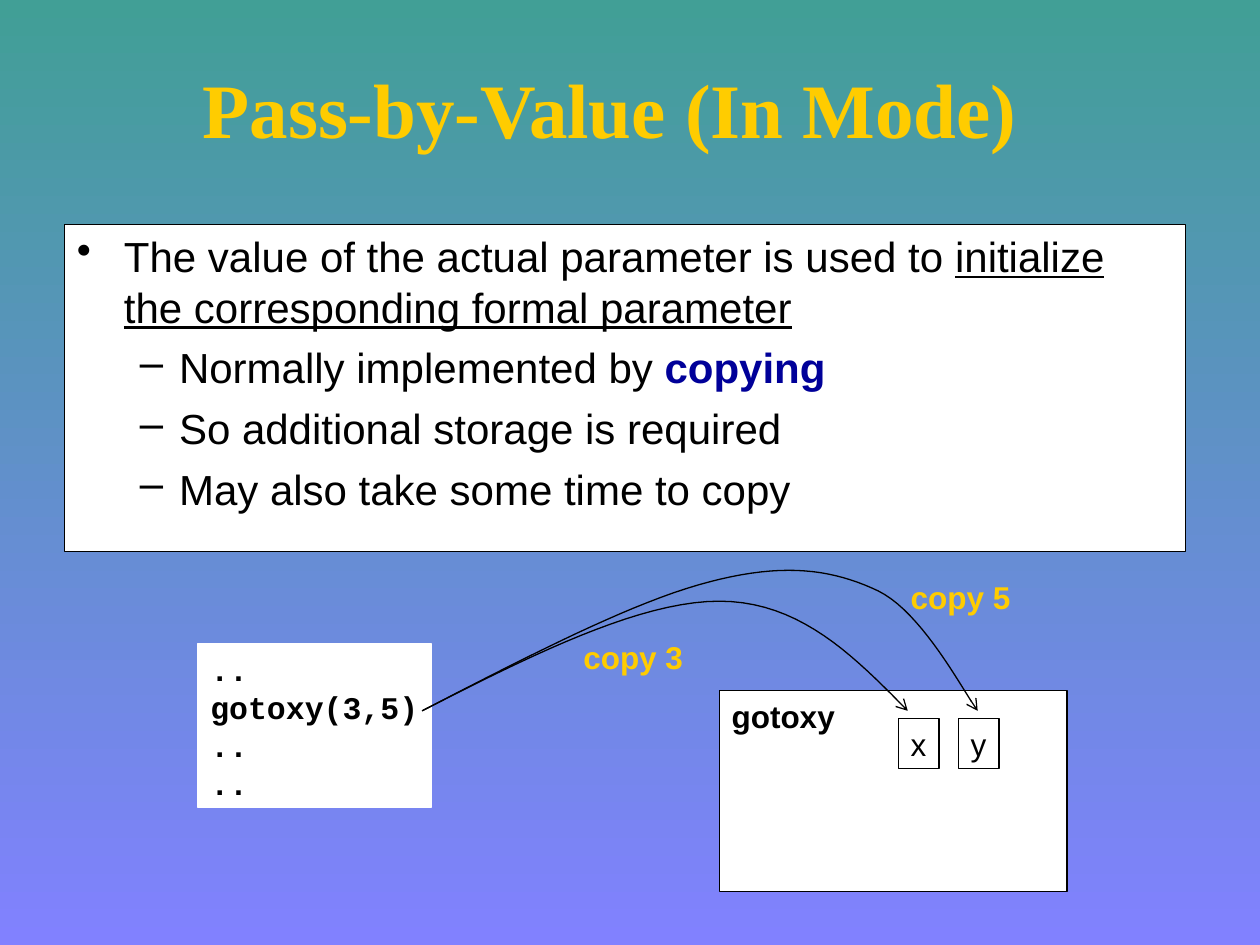
from dataclasses import dataclass
from typing import Optional

import pptx
import pptx.dml.color
import pptx.enum.shapes
import pptx.enum.text
import pptx.oxml.ns
import pptx.util
from lxml import etree
from pptx.util import Cm, Pt

COLORS = {
    "sky_top": "419F96",
    "sky_bottom": "8181FF",
    "gold": "FFCC00",
    "navy": "000099",
    "black": "000000",
    "white": "FFFFFF",
}
CURVE_STEPS = 20

Point = tuple[float, float]


@dataclass
class Box:
    """A text rectangle; lengths in centimetres."""
    left: float
    top: float
    width: float
    height: float
    lines: tuple[str, ...]
    font: str = "Arial"
    bold: bool = True
    color: str = "black"
    fill: Optional[str] = None
    line: Optional[str] = None
    wrap: bool = False


@dataclass
class Span:
    text: str
    bold: bool = False
    underline: bool = False
    color: str = "black"


@dataclass
class Bullet:
    level: int
    spans: tuple[Span, ...]


BULLET_STYLES = {0: ("•", 0.95, -0.95), 1: ("–", 2.06, -0.79)}

BULLETS = (
    Bullet(0, (Span("The value of the actual parameter is used to "),
               Span("initialize the corresponding formal parameter", underline=True))),
    Bullet(1, (Span("Normally implemented by "),
               Span("copying", bold=True, color="navy"))),
    Bullet(1, (Span("So additional storage is required"),)),
    Bullet(1, (Span("May also take some time to copy"),)),
)

FUNCTION_FRAME = Box(14.5, 13.92, 7.01, 4.06, ("gotoxy",),
                     fill="white", line="black", wrap=True)
PARAMETERS = [
    Box(left, 14.48, 0.82, 1.02, (name,), bold=False, line="black")
    for name, left in (("x", 18.11), ("y", 19.32))
]
CALLER = Box(3.99, 12.98, 4.7, 3.3, ("..", "gotoxy(3,5)", "..", ".."),
             font="Courier New", fill="white", line="white")
COPY_LABELS = [
    Box(11.51, 12.73, 2.6, 1.02, ("copy 3",), color="gold"),
    Box(18.11, 11.53, 2.6, 1.02, ("copy 5",), color="gold"),
]

# Each curve is a start followed by three Bézier points per segment.
ARGUMENT: Point = (8.51, 14.33)
COPY_CURVES: list[list[Point]] = [
    [ARGUMENT, (10.67, 13.23), (12.88, 12.12), (14.5, 12.12),
     (16.13, 12.12), (17.22, 13.23), (18.3, 14.33)],
    [ARGUMENT, (10.64, 13.23), (12.78, 12.12), (14.3, 11.73),
     (15.82, 11.33), (16.79, 11.48), (17.7, 11.91),
     (18.59, 12.34), (19.41, 13.92), (19.71, 14.33)],
]


def rgb(name: str) -> pptx.dml.color.RGBColor:
    return pptx.dml.color.RGBColor.from_string(COLORS[name])


def set_font(font, name: str, size: float, color: str, bold: bool) -> None:
    font.name = name
    font.size = Pt(size)
    font.bold = bold
    font.color.rgb = rgb(color)


def set_outline(shape, fill: Optional[str], line: str) -> None:
    shape.shadow.inherit = False
    if fill:
        shape.fill.solid()
        shape.fill.fore_color.rgb = rgb(fill)
    else:
        shape.fill.background()
    shape.line.color.rgb = rgb(line)
    shape.line.width = Pt(0.75)


def prepare_frame(frame, wrap: bool) -> None:
    frame.word_wrap = wrap
    if not wrap:
        frame.auto_size = pptx.enum.text.MSO_AUTO_SIZE.SHAPE_TO_FIT_TEXT
    frame.vertical_anchor = pptx.enum.text.MSO_ANCHOR.TOP
    frame.margin_left = frame.margin_right = Cm(0.25)
    frame.margin_top = frame.margin_bottom = Cm(0.13)


def add_box(slide, box: Box) -> None:
    place = [Cm(v) for v in (box.left, box.top, box.width, box.height)]
    if box.line:
        shape = slide.shapes.add_shape(pptx.enum.shapes.MSO_SHAPE.RECTANGLE, *place)
        set_outline(shape, box.fill, box.line)
    else:
        shape = slide.shapes.add_textbox(*place)
    frame = shape.text_frame
    prepare_frame(frame, box.wrap)
    frame.text = "\n".join(box.lines)
    for paragraph in frame.paragraphs:
        paragraph.alignment = pptx.enum.text.PP_ALIGN.LEFT
        for run in paragraph.runs:
            set_font(run.font, box.font, 18, box.color, box.bold)


def add_bullet_panel(slide) -> None:
    panel = slide.shapes.add_shape(pptx.enum.shapes.MSO_SHAPE.RECTANGLE,
                                   Cm(1.3), Cm(4.52), Cm(22.6), Cm(6.6))
    set_outline(panel, "white", "black")
    frame = panel.text_frame
    prepare_frame(frame, wrap=True)
    for index, bullet in enumerate(BULLETS):
        paragraph = frame.add_paragraph() if index else frame.paragraphs[0]
        paragraph.level = bullet.level
        paragraph.alignment = pptx.enum.text.PP_ALIGN.LEFT
        if index:
            paragraph.space_before = Pt(6)
        mark, margin, indent = BULLET_STYLES[bullet.level]
        properties = paragraph._p.get_or_add_pPr()
        properties.set("marL", str(Cm(margin)))
        properties.set("indent", str(Cm(indent)))
        etree.SubElement(properties, pptx.oxml.ns.qn("a:buChar"), char=mark)
        for span in bullet.spans:
            run = paragraph.add_run()
            run.text = span.text
            set_font(run.font, "Arial", 24, span.color, span.bold)
            run.font.underline = span.underline


def bezier(p0: Point, p1: Point, p2: Point, p3: Point, t: float) -> Point:
    u = 1 - t
    x, y = (u**3 * a + 3 * u * u * t * b + 3 * u * t * t * c + t**3 * d
            for a, b, c, d in zip(p0, p1, p2, p3))
    return x, y


def add_curved_arrow(slide, knots: list[Point]) -> None:
    points = [bezier(*knots[i:i + 4], step / CURVE_STEPS)
              for i in range(0, len(knots) - 1, 3)
              for step in range(1, CURVE_STEPS + 1)]
    builder = slide.shapes.build_freeform(Cm(knots[0][0]), Cm(knots[0][1]))
    builder.add_line_segments([(Cm(x), Cm(y)) for x, y in points], close=False)
    arrow = builder.convert_to_shape()
    set_outline(arrow, None, "black")
    etree.SubElement(arrow.line._get_or_add_ln(), pptx.oxml.ns.qn("a:tailEnd"), type="arrow")


def add_title(slide) -> None:
    title = slide.shapes.title
    title.left, title.top, title.width, title.height = Cm(3.3), Cm(1.12), Cm(18), Cm(3.18)
    frame = title.text_frame
    frame.text = "Pass-by-Value (In Mode)"
    prepare_frame(frame, wrap=True)
    paragraph = frame.paragraphs[0]
    paragraph.alignment = pptx.enum.text.PP_ALIGN.CENTER
    set_font(paragraph.runs[0].font, "Times New Roman", 44, "gold", True)


def paint_background(slide) -> None:
    fill = slide.background.fill
    fill.gradient()
    fill.gradient_angle = 270
    for stop, position, color in zip(fill.gradient_stops, (0, 1), ("sky_top", "sky_bottom")):
        stop.position = position
        stop.color.rgb = rgb(color)


def main() -> None:
    deck = pptx.Presentation()
    deck.slide_width, deck.slide_height = Cm(25.4), Cm(19.05)
    slide = deck.slides.add_slide(deck.slide_layouts[5])
    paint_background(slide)
    add_title(slide)
    add_bullet_panel(slide)
    for box in (FUNCTION_FRAME, *PARAMETERS, CALLER, *COPY_LABELS):
        add_box(slide, box)
    for knots in COPY_CURVES:
        add_curved_arrow(slide, knots)
    deck.save("out.pptx")


if __name__ == "__main__":
    main()
